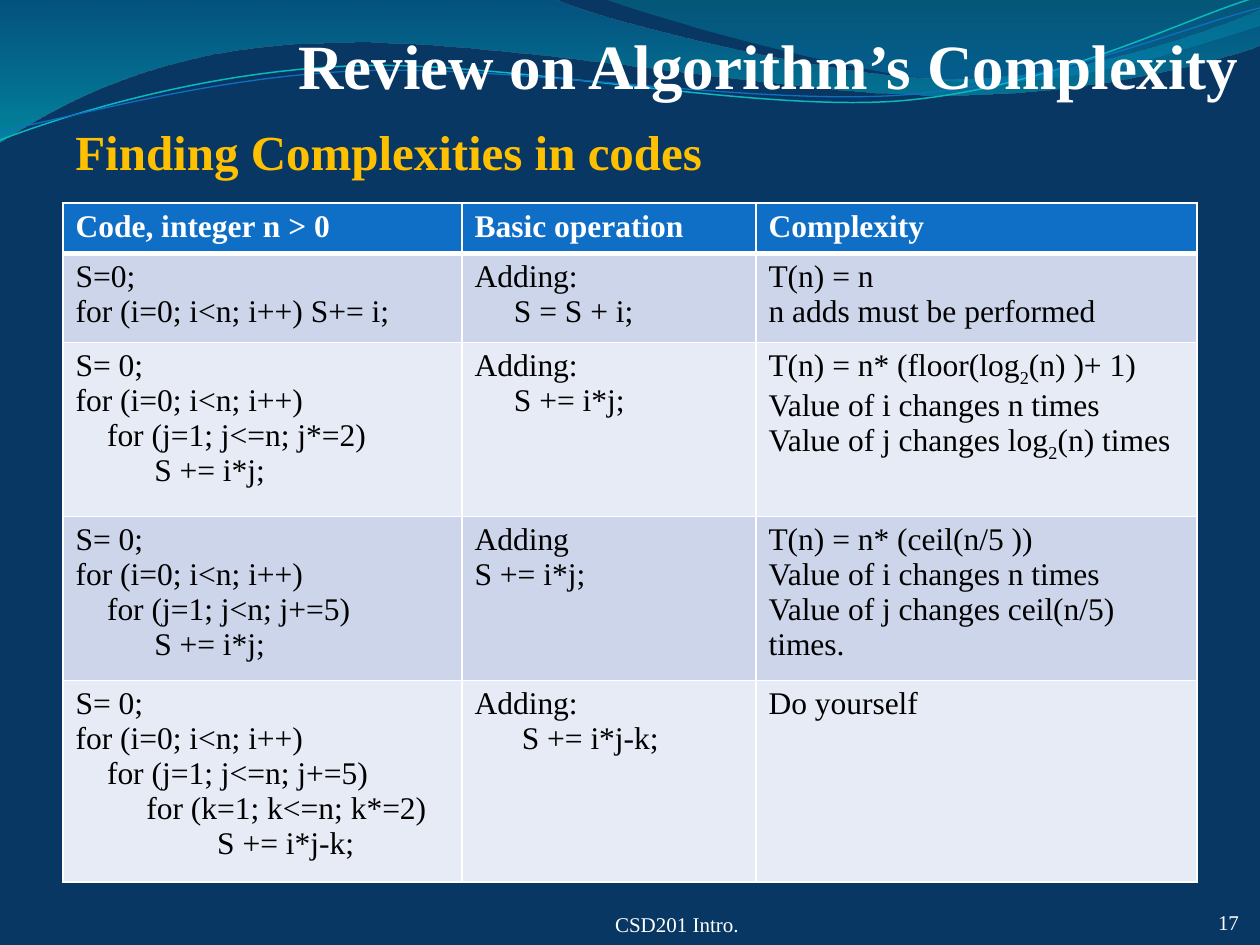
from dataclasses import dataclass

import pptx
import pptx.dml.color
import pptx.enum.text
import pptx.oxml.ns
import pptx.util
from lxml import etree

ALIGN = pptx.enum.text.PP_ALIGN
ANCHOR = pptx.enum.text.MSO_ANCHOR
qn = pptx.oxml.ns.qn
EMU_PER_PX = 914400 / 126


@dataclass(frozen=True)
class Theme:
    font: str = "Times New Roman"
    background: str = "083763"
    white: str = "FFFFFF"
    black: str = "000000"
    gold: str = "FFC000"
    header: str = "0F6FC6"
    bands: tuple = ("CCD5EA", "E7EBF5")
    teal_line: str = "0AB8BF"
    title_size: int = 36
    subtitle_size: int = 28
    table_size: int = 18
    footer_size: int = 12


def px(length):
    return pptx.util.Emu(round(length * EMU_PER_PX))


def rgb(code):
    return pptx.dml.color.RGBColor.from_string(code)


def bend(shape, segments):
    """Turn the three lines of each six-number segment into one cubic curve."""
    lines = list(shape.element.iter(qn("a:lnTo")))
    for segment in segments:
        count = len(segment) // 2
        used, lines = lines[:count], lines[count:]
        if count == 3:
            curve = etree.Element(qn("a:cubicBezTo"))
            used[0].addprevious(curve)
            for line in used:
                curve.append(line[0])
                line.getparent().remove(line)


class SlideBuilder:
    """Holds the theme and the slide being filled."""

    def __init__(self, page, theme):
        self.page = page
        self.theme = theme
        page.background.fill.solid()
        page.background.fill.fore_color.rgb = rgb(theme.background)

    def outline(self, start, segments, closed):
        """Draw segments: two numbers are a line, six are a cubic curve."""
        points = [segment[i:i + 2] for segment in segments for i in range(0, len(segment), 2)]
        builder = self.page.shapes.build_freeform(*start, scale=EMU_PER_PX)
        builder.add_line_segments(points, close=closed)
        shape = builder.convert_to_shape()
        shape.shadow.inherit = False
        bend(shape, segments)
        return shape

    def wave(self, start, segments, stops):
        """Draw a filled band; each stop is position, colour, opacity percent."""
        shape = self.outline(start, segments, True)
        shape.line.fill.background()
        shape.fill.gradient()
        shape.fill.gradient_angle = 270
        for stop, (position, color, opacity) in zip(shape.fill.gradient_stops, stops):
            stop.position = position
            stop.color.rgb = rgb(color)
            for node in shape.element.iter(qn("a:srgbClr")):
                if node.get("val") == color:
                    etree.SubElement(node, qn("a:alpha"), val=str(opacity * 1000))

    def strand(self, start, segments, color, width):
        shape = self.outline(start, segments, False)
        shape.fill.background()
        shape.line.color.rgb = rgb(color)
        shape.line.width = pptx.util.Pt(width)

    def style(self, para, size, color, bold=False, align=ALIGN.LEFT):
        para.alignment = align
        para.font.name = self.theme.font
        para.font.size = pptx.util.Pt(size)
        para.font.bold = bold
        para.font.color.rgb = rgb(color)

    def title(self, text, left, top, width, height):
        box = self.page.shapes.title
        self.page.shapes._spTree.append(box.element)  # in front of the waves
        box.left, box.top, box.width, box.height = map(px, (left, top, width, height))
        frame = box.text_frame
        frame.text = text
        frame.auto_size = pptx.enum.text.MSO_AUTO_SIZE.NONE
        frame.vertical_anchor = ANCHOR.BOTTOM
        frame.margin_left = frame.margin_right = frame.margin_bottom = 0
        self.style(frame.paragraphs[0], self.theme.title_size, self.theme.white, True, ALIGN.RIGHT)

    def text_box(self, text, left, top, width, height):
        frame = self.page.shapes.add_textbox(*map(px, (left, top, width, height))).text_frame
        frame.word_wrap = True
        frame.text = text
        return frame

    def subtitle(self, text, *place):
        frame = self.text_box(text, *place)
        self.style(frame.paragraphs[0], self.theme.subtitle_size, self.theme.gold, True)

    def footer(self, text, align, *place):
        frame = self.text_box(text, *place)
        frame.vertical_anchor = ANCHOR.BOTTOM
        frame.margin_left = frame.margin_right = frame.margin_top = frame.margin_bottom = 0
        self.style(frame.paragraphs[0], self.theme.footer_size, self.theme.white, align=align)

    def cell_text(self, cell, text, color, bold):
        """Fill a cell, a paragraph per line; ₂ becomes a subscript 2."""
        frame = cell.text_frame
        for index, line in enumerate(text.split("\n")):
            para = frame.add_paragraph() if index else frame.paragraphs[0]
            self.style(para, self.theme.table_size, color, bold)
            before, mark, after = line.partition("₂")
            para.add_run().text = before
            if mark:
                span = para.add_run()
                span.text = "2"
                span._r.get_or_add_rPr().set("baseline", "-25000")
                para.add_run().text = after

    def header_border(self, cell):
        """Rule a header cell in white, thicker below."""
        properties = cell._tc.get_or_add_tcPr()
        for index, (side, width) in enumerate((("L", 1), ("R", 1), ("T", 1), ("B", 3))):
            line = etree.Element(qn("a:ln" + side), w=str(pptx.util.Pt(width)))
            fill = etree.SubElement(line, qn("a:solidFill"))
            etree.SubElement(fill, qn("a:srgbClr"), val=self.theme.white)
            properties.insert(index, line)

    def table(self, rows, left, top, widths, heights):
        theme = self.theme
        place = map(px, (left, top, sum(widths), sum(heights)))
        grid = self.page.shapes.add_table(len(rows), len(widths), *place).table
        for column, width in zip(grid.columns, widths):
            column.width = px(width)
        for r, (texts, height) in enumerate(zip(rows, heights)):
            grid.rows[r].height = px(height)
            for c, text in enumerate(texts):
                cell = grid.cell(r, c)
                cell.fill.solid()
                cell.fill.fore_color.rgb = rgb(theme.bands[(r - 1) % 2] if r else theme.header)
                self.cell_text(cell, text, theme.black if r else theme.white, r == 0)
                if r == 0:
                    self.header_border(cell)


ROWS = [
    ("Code, integer n > 0", "Basic operation", "Complexity"),
    ("S=0;\nfor (i=0; i<n; i++) S+= i;",
     "Adding:\n     S = S + i;",
     "T(n) = n\nn adds must be performed"),
    ("S= 0;\nfor (i=0; i<n; i++)\n    for (j=1; j<=n; j*=2)\n          S += i*j;",
     "Adding:\n     S += i*j;",
     "T(n) = n* (floor(log₂(n) )+ 1)\nValue of i changes n times\n"
     "Value of j changes log₂(n) times"),
    ("S= 0;\nfor (i=0; i<n; i++)\n    for (j=1; j<n; j+=5)\n          S += i*j;",
     "Adding\nS += i*j;",
     "T(n) = n* (ceil(n/5 ))\nValue of i changes n times\n"
     "Value of j changes ceil(n/5) times."),
    ("S= 0;\nfor (i=0; i<n; i++)\n    for (j=1; j<=n; j+=5)\n"
     "         for (k=1; k<=n; k*=2)\n                  S += i*j-k;",
     "Adding:\n      S += i*j-k;",
     "Do yourself"),
]


def main():
    deck = pptx.Presentation()
    deck.slide_width, deck.slide_height = px(1260), px(945)
    theme = Theme()
    slide = SlideBuilder(deck.slides.add_slide(deck.slide_layouts[5]), theme)

    slide.wave((0, 0), [(554, -1), (600, 21, 837, 79, 955, 79), (1074, 79, 1207, 33, 1260, 11),
                        (1261, 45), (1239, 55, 1096, 96, 940, 95), (784, 95, 481, 35, 324, 43),
                        (163, 45, 58, 105, -1, 142)],
               [(0, "0074A1", 45), (1, "00C6CF", 55)])
    slide.wave((604, -1), [(641, 14, 859, 78, 969, 82), (1087, 87, 1211, 40, 1260, 26), (1260, 0)],
               [(0, "00A1A9", 30), (0.8, "008BBF", 45)])
    slide.strand((0, 140), [(60, 117, 199, 72, 349, 66), (498, 59, 747, 112, 898, 101),
                            (1050, 89, 1182, 19, 1257, -3)], theme.teal_line, 0.85)
    slide.strand((0, 131), [(59, 121, 207, 77, 357, 71), (508, 64, 752, 106, 903, 95),
                            (1053, 84, 1186, 26, 1260, 8)], theme.header, 0.75)

    slide.title("Review on Algorithm’s Complexity", 63, 10, 1176, 92)
    slide.footer("CSD201 Intro.", ALIGN.CENTER, 367, 903, 620, 34)
    slide.footer("17", ALIGN.RIGHT, 1166, 903, 73, 32)
    slide.subtitle("Finding Complexities in codes", 63, 115, 1061, 72)
    slide.table(ROWS, 63, 203, (399, 294, 441), (50, 89, 174, 164, 201))
    deck.save("out.pptx")


if __name__ == "__main__":
    main()
